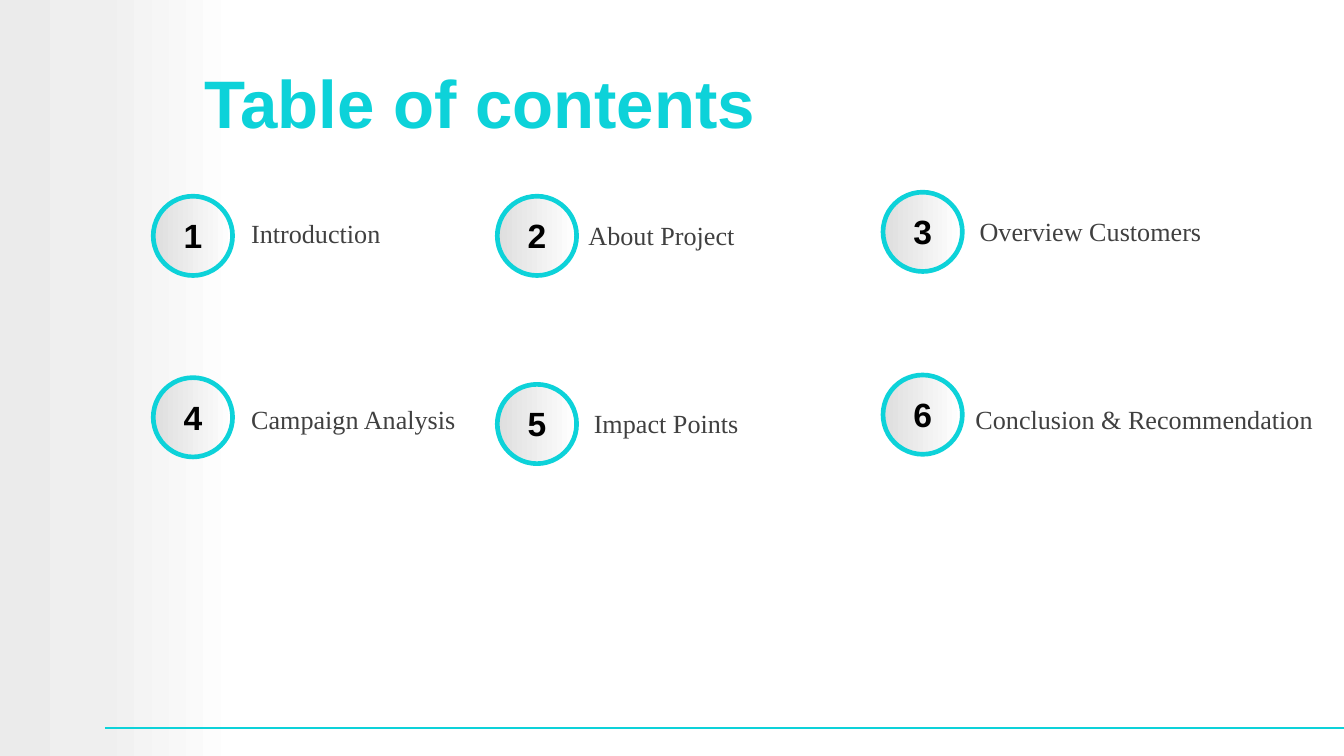
"""Build a table of contents slide with six numbered circles."""
from copy import deepcopy
from pptx import Presentation
from pptx.dml.color import RGBColor
from pptx.enum.shapes import MSO_CONNECTOR, MSO_SHAPE
from pptx.enum.text import MSO_ANCHOR, PP_ALIGN
from pptx.oxml.ns import qn
from pptx.util import Inches, Pt

RECT, OVAL = MSO_SHAPE.RECTANGLE, MSO_SHAPE.OVAL
LINE = MSO_CONNECTOR.STRAIGHT
TOP, MID = MSO_ANCHOR.TOP, MSO_ANCHOR.MIDDLE
LEFT, MIDDLE = PP_ALIGN.LEFT, PP_ALIGN.CENTER
rgb = RGBColor.from_string

WIDE = 10
HIGH = WIDE * 9 / 16
CYAN = "0DD2D9"
COLS, SIZE = (1.14, 3.7, 6.57), 0.59
HEAD = dict(name="Arial", size=Pt(36), bold=True, color=CYAN)
NUM = dict(name="Arial", size=Pt(18), bold=True, color="000000")
LABEL = dict(name="Times New Roman", size=Pt(14), bold=False, color="404040")
ITEMS = (
    ("Introduction", 1.46, 1.77, 1.57, 1.34),
    ("About Project", 1.46, 4.28, 1.58, 1.72),
    ("Overview Customers", 1.43, 7.19, 1.55, 2.21),
    ("Campaign Analysis", 2.81, 1.77, 2.95, 2.11),
    ("Impact Points", 2.86, 4.32, 2.98, 1.7),
    ("Conclusion & Recommendation", 2.79, 7.16, 2.95, 2.84),
)


def shade(home, kind, box, stops):
    shape = home.add_shape(kind, *map(Inches, box))
    shape.shadow.inherit = False
    shape.line.fill.background()
    shape.fill.gradient()
    shape.fill.gradient_angle = 0
    row = shape._element.spPr.find(".//" + qn("a:gsLst"))
    while len(row) < len(stops):
        row.append(deepcopy(row[0]))
    for stop, (spot, tint) in zip(shape.fill.gradient_stops, stops):
        stop.position = spot
        stop.color.rgb = rgb(tint)
    return shape


def write(home, words, box, style, anchor=TOP, align=LEFT):
    frame = home.add_textbox(*map(Inches, box)).text_frame
    frame.word_wrap = True
    frame.vertical_anchor = anchor
    line = frame.paragraphs[0]
    line.alignment = align
    run = line.add_run()
    run.text = words
    for key, value in style.items():
        if key == "color":
            run.font.color.rgb = rgb(value)
        else:
            setattr(run.font, key, value)
    return frame


deck = Presentation()
deck.slide_width, deck.slide_height = Inches(WIDE), Inches(HIGH)
slide = deck.slides.add_slide(deck.slide_layouts[6])
shapes = slide.shapes
slide.background.fill.solid()
slide.background.fill.fore_color.rgb = rgb("FFFFFF")

shade(shapes, RECT, (0, 0, 1.77, HIGH),
      ((0, "EBEBEB"), (0.42, "EFEFEF"), (1, "FFFFFF")))

rule = shapes.add_connector(LINE, *map(Inches, (0.78, 5.42, WIDE, 5.42)))
rule.line.color.rgb = rgb(CYAN)
rule.line.width = Pt(1)
rule._element.spPr.get_or_add_effectLst()

title = write(shapes, "Table of contents", (1.14, 0.33, 8.27, 0.85), HEAD, MID)
title.margin_left = Inches(0.38)

for spot, (words, top, left, base, width) in enumerate(ITEMS):
    col = COLS[spot % len(COLS)]
    group = shapes.add_group_shape().shapes
    ring = shade(group, OVAL, (col, top, SIZE, SIZE),
                 ((0, "DEDEDE"), (1, "FFFFFF")))
    ring.line.color.rgb = rgb(CYAN)
    ring.line.width = Pt(2.5)
    write(group, str(spot + 1), (col + 0.1, top + 0.09, 0.39, 0.4),
          NUM, MID, MIDDLE)
    write(shapes, words, (left, base, width, 0.34), LABEL)

deck.save("out.pptx")
